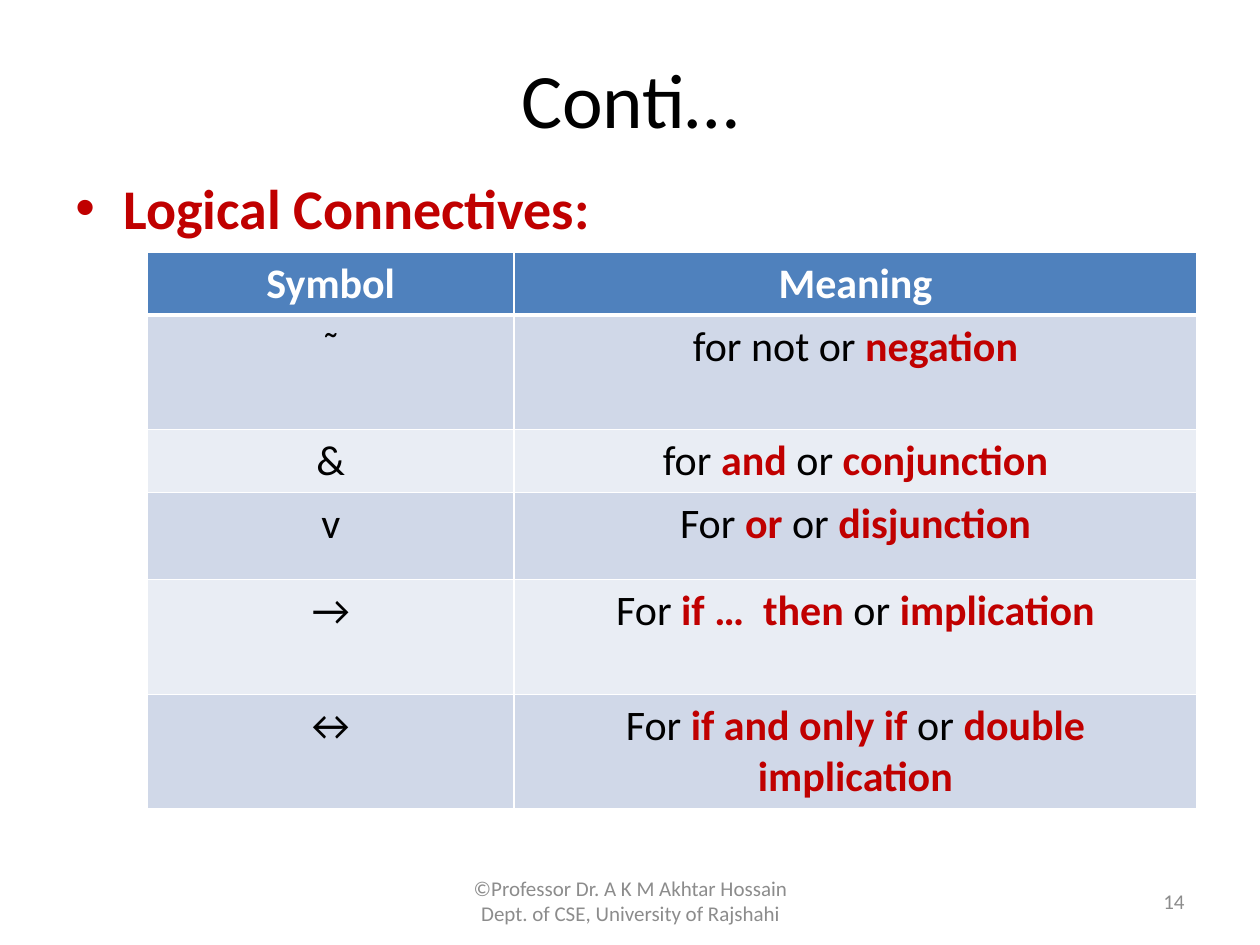
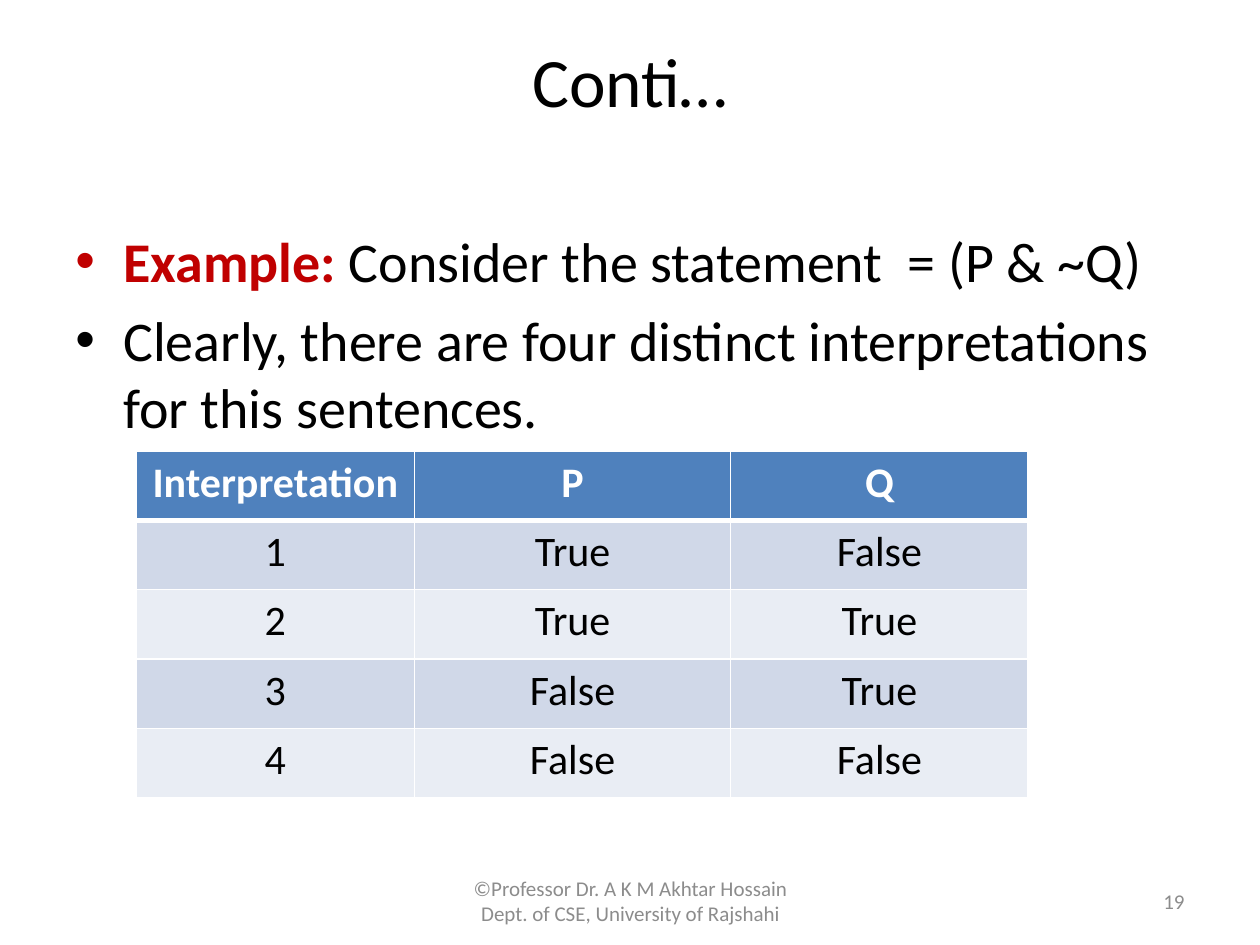
from pptx import Presentation
from pptx.dml.color import RGBColor
from pptx.enum.text import MSO_ANCHOR as Anchor, PP_ALIGN as Align
from pptx.oxml.xmlchemy import OxmlElement as new_element
from pptx.util import Inches, Pt

BLACK = RGBColor(0x00, 0x00, 0x00)
WHITE = RGBColor(0xFF, 0xFF, 0xFF)
RED = RGBColor(0xC0, 0x00, 0x00)
GREY = RGBColor(0x8C, 0x8C, 0x8C)
HEADER_BLUE = RGBColor(0x4F, 0x81, 0xBD)
BANDS = (RGBColor(0xD0, 0xD8, 0xE8), RGBColor(0xE9, 0xED, 0xF4))

FONT = "Calibri"
TITLE = "Conti…"
FOOTER = "©Professor Dr. A K M Akhtar Hossain\vDept. of CSE, University of Rajshahi"
PLAIN = {"color": BLACK, "bold": False}
STRONG = {"color": RED, "bold": True}
HEADING = {"color": WHITE, "bold": True}
MUTED = {"color": GREY, "bold": False}

CONNECTIVES = [
    ("Symbol", "Meaning"),
    ("˜", "for not or *negation"),
    ("&", "for *and* or *conjunction"),
    ("v", "For *or *or *disjunction"),
    ("→", "For *if …  then *or *implication"),
    ("↔", "For *if and only if *or *double implication"),
]
INTERPRETATIONS = [
    ("Interpretation", "P", "Q"),
    ("1", "True", "False"),
    ("2", "True", "True"),
    ("3", "False", "True"),
    ("4", "False", "False"),
]


def apply(target, values):
    """Set each attribute named in values on the target."""
    for attribute, value in values.items():
        setattr(target, attribute, value)


def write(paragraph, marked, size, look=PLAIN, align=Align.LEFT):
    """Write text whose parts between asterisks are bold and red."""
    paragraph.alignment = align
    for index, part in enumerate(marked.split("*")):
        if not part:
            continue
        style = STRONG if index % 2 else look
        paragraph.add_run()
        run = paragraph.runs[-1]
        run.text = part
        apply(run.font, {"name": FONT, "size": Pt(size), "bold": style["bold"]})
        run.font.color.rgb = style["color"]


def indent(paragraph, left, first):
    """Set the left margin and first-line indent of a paragraph."""
    properties = paragraph._p.get_or_add_pPr()
    properties.set("marL", str(Inches(left)))
    properties.set("indent", str(Inches(first)))
    return properties


def add_text_area(slide, left, top, width, height, anchor):
    """Add a wrapping text box and return its text frame."""
    area = slide.shapes.add_textbox(*map(Inches, (left, top, width, height)))
    apply(area.text_frame, {"word_wrap": True, "vertical_anchor": anchor})
    return area.text_frame


def add_title(slide, height, size, frame_format):
    """Place and format the slide title."""
    title = slide.shapes.title
    apply(title, {"left": Inches(0.5), "top": Inches(0.3),
                  "width": Inches(9), "height": Inches(height)})
    apply(title.text_frame, frame_format)
    write(title.text_frame.paragraphs[0], TITLE, size, align=Align.CENTER)


def add_bullets(slide, top, lines):
    """Add the bulleted body, which ends above the footer."""
    body = add_text_area(slide, 0.5, top, 9, 6.7 - top, Anchor.TOP)
    for index, line in enumerate(lines):
        paragraph = body.add_paragraph() if index else body.paragraphs[0]
        paragraph.space_before = Pt(6.4)
        bullet_font = new_element("a:buFont")
        bullet_font.set("typeface", "Arial")
        bullet = new_element("a:buChar")
        bullet.set("char", "•")
        indent(paragraph, 0.38, -0.38).extend([bullet_font, bullet])
        write(paragraph, line, 32)


def add_footer(slide, number):
    """Add the author line and the slide number."""
    author = add_text_area(slide, 3.42, 6.95, 3.17, 0.4, Anchor.MIDDLE).paragraphs[0]
    author.text = FOOTER
    author.alignment = Align.CENTER
    indent(author, 0, -0.3)
    for run in author.runs:
        apply(run.font, {"name": FONT, "size": Pt(12)})
        run.font.color.rgb = GREY
    page = add_text_area(slide, 7.17, 6.95, 2.33, 0.4, Anchor.MIDDLE).paragraphs[0]
    write(page, str(number), 12, MUTED, Align.RIGHT)


def add_borders(cell, bottom_width, top_width):
    """Draw white lines on the four sides of a cell."""
    widths = {"lnL": 1, "lnR": 1, "lnT": top_width, "lnB": bottom_width}
    for position, (side, width) in enumerate(widths.items()):
        line = new_element(f"a:{side}")
        line.set("w", str(Pt(width)))
        fill = new_element("a:solidFill")
        color = new_element("a:srgbClr")
        color.set("val", str(WHITE))
        fill.append(color)
        line.append(fill)
        cell._tc.get_or_add_tcPr().insert(position, line)


def add_banded_table(slide, left, top, widths, heights, rows):
    """Add a table with a blue heading row and banded body rows."""
    table = slide.shapes.add_table(
        len(rows), len(widths), Inches(left), Inches(top),
        Inches(sum(widths)), Inches(sum(heights))).table
    for column, width in zip(table.columns, widths):
        column.width = Inches(width)
    for r, (values, height) in enumerate(zip(rows, heights)):
        table.rows[r].height = Inches(height)
        for c, value in enumerate(values):
            cell = table.cell(r, c)
            cell.fill.solid()
            cell.fill.fore_color.rgb = BANDS[(r - 1) % 2] if r else HEADER_BLUE
            add_borders(cell, 1 if r else 3, 3 if r == 1 else 1)
            write(cell.text_frame.paragraphs[0], value, 24,
                  PLAIN if r else HEADING, Align.CENTER)


def add_connectives_slide(slide):
    """Build the slide on logical connectives."""
    add_title(slide, 0.95, 44, {"vertical_anchor": Anchor.MIDDLE})
    add_bullets(slide, 1.33, ["*Logical Connectives:"])
    add_footer(slide, 14)
    add_banded_table(slide, 1.17, 2, (2.91, 5.42),
                     (0.5, 0.91, 0.5, 0.69, 0.91, 0.91), CONNECTIVES)


def add_interpretations_slide(slide):
    """Build the slide on the four interpretations."""
    add_title(slide, 1.25, 39.6, {"vertical_anchor": Anchor.TOP, "margin_top": 0})
    add_bullets(slide, 1.75, [
        "*Example: *Consider the statement  = (P & ~Q)",
        "Clearly, there are four distinct interpretations for this sentences.",
    ])
    add_footer(slide, 19)
    add_banded_table(slide, 1.08, 3.58, (2.21, 2.51, 2.36),
                     [0.55] * len(INTERPRETATIONS), INTERPRETATIONS)


def main():
    """Build and save the presentation."""
    deck = Presentation()
    apply(deck, {"slide_width": Inches(10), "slide_height": Inches(7.5)})
    title_only = deck.slide_layouts[5]
    for build in (add_connectives_slide, add_interpretations_slide):
        build(deck.slides.add_slide(title_only))
    deck.save("out.pptx")


main()
